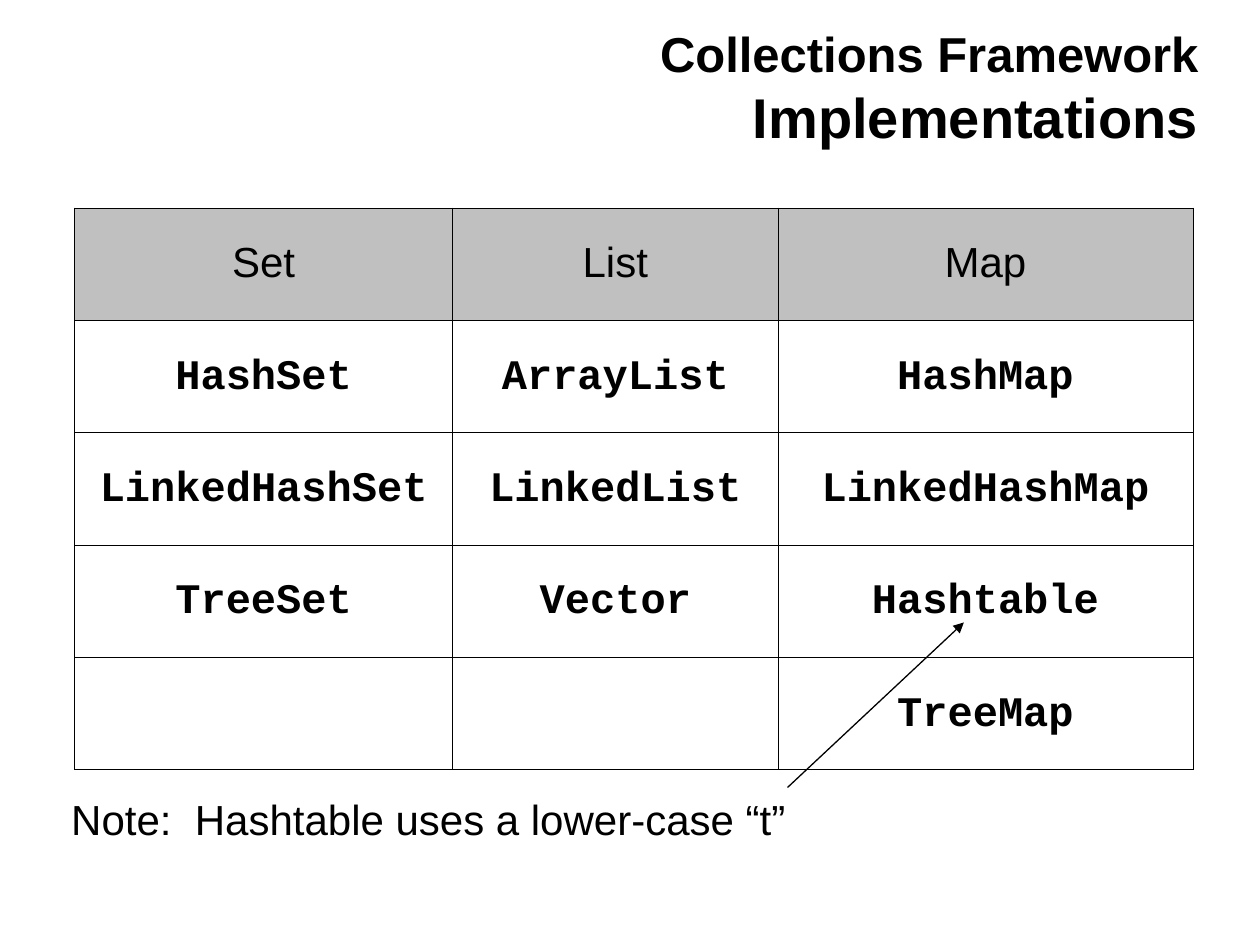
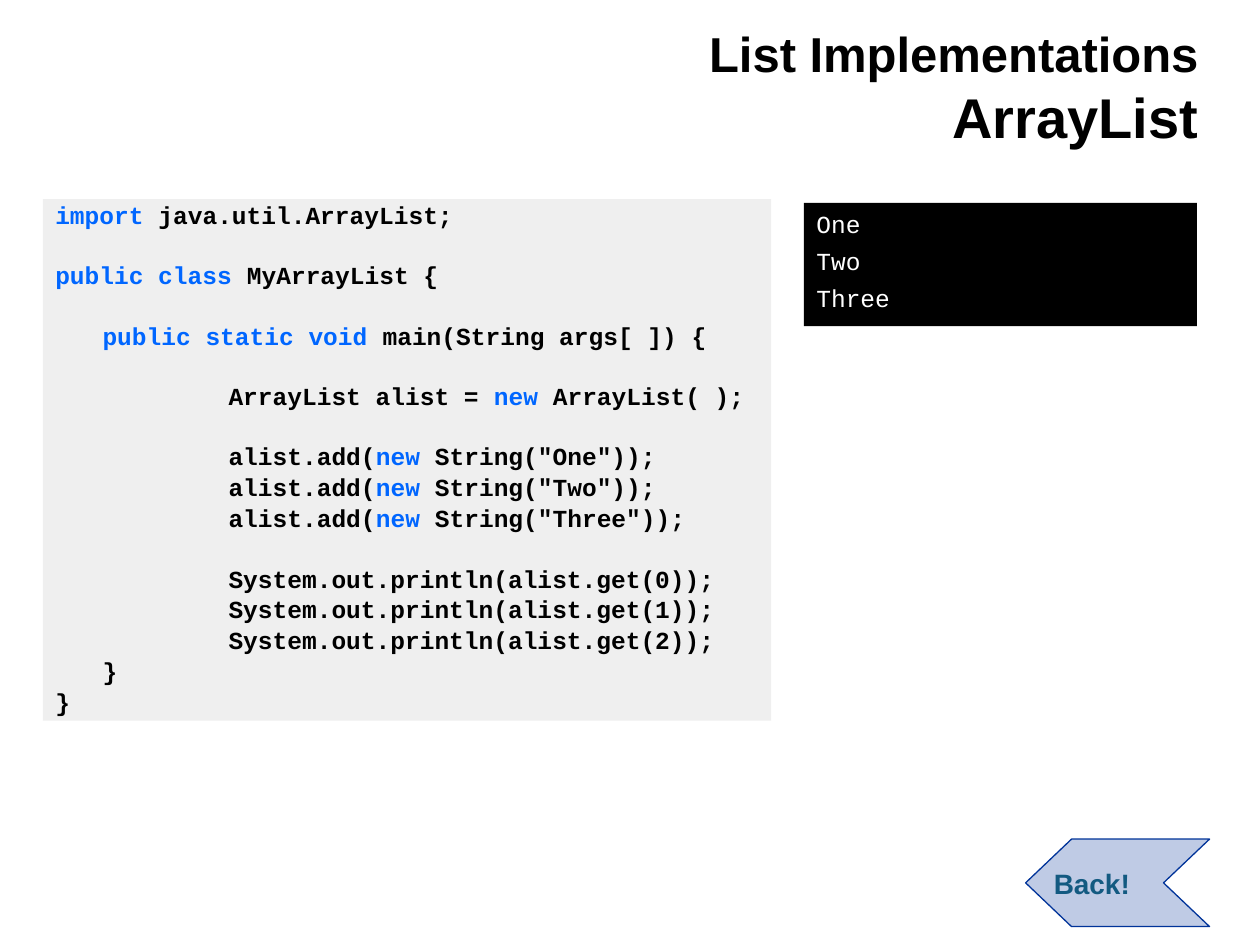
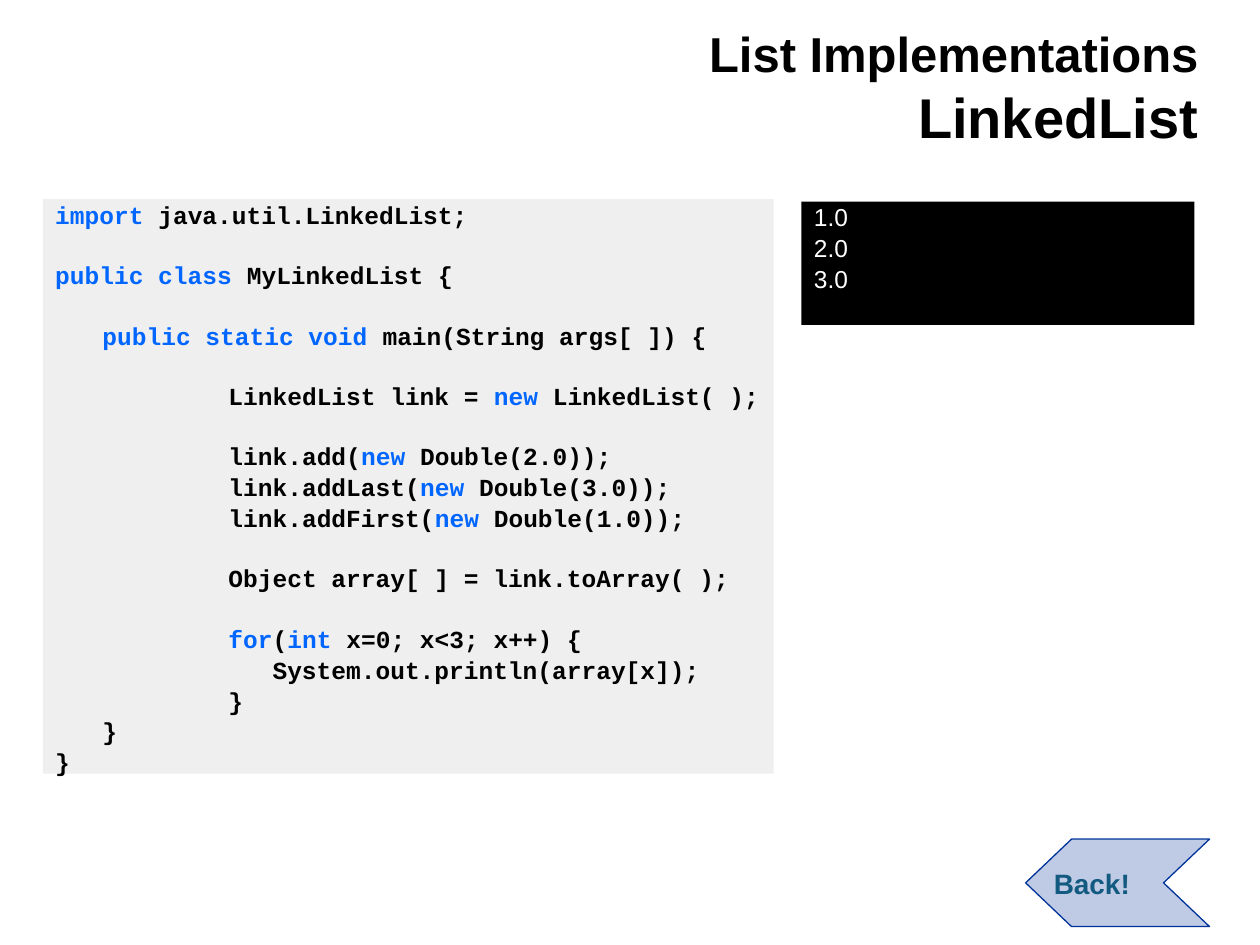
from lxml import etree
from pptx import Presentation
from pptx.dml.color import RGBColor
from pptx.enum.shapes import MSO_CONNECTOR, MSO_SHAPE
from pptx.enum.text import MSO_ANCHOR, PP_ALIGN
from pptx.oxml.ns import qn
from pptx.util import Pt

RECTANGLE = MSO_SHAPE.RECTANGLE
STRAIGHT = MSO_CONNECTOR.STRAIGHT
TOP, MIDDLE, BOTTOM = MSO_ANCHOR.TOP, MSO_ANCHOR.MIDDLE, MSO_ANCHOR.BOTTOM
LEFT, CENTER, RIGHT = PP_ALIGN.LEFT, PP_ALIGN.CENTER, PP_ALIGN.RIGHT

BLACK = RGBColor(0x00, 0x00, 0x00)
WHITE = RGBColor(0xFF, 0xFF, 0xFF)
GRAY = RGBColor(0xC0, 0xC0, 0xC0)
KEYWORD_BLUE = RGBColor(0x00, 0x66, 0xFF)
NAVY = RGBColor(0x00, 0x33, 0x99)
TEAL = RGBColor(0x13, 0x5A, 0x81)

SANS, MONO = "Arial", "Courier New"
TITLE_BOX = (50.4, 2.9, 641.5, 86.4)
TABLE_BOX = (42.6, 118.8, 639, 321)
NOTE_BOX = (28.8, 450, 432, 36)
BACK_BOX = (586.1, 479.5, 105.1, 50)
TINT = 25
CODE_SIZE = 14
CODE_INDENTS = (0, 27, 99, 124.2)
LINE_GAP = 4.2
BLANK_LINE = 16.9

COLUMN_WIDTHS = (216, 186, 237)
IMPLEMENTATIONS = (
    ("Set", "List", "Map"),
    ("HashSet", "ArrayList", "HashMap"),
    ("LinkedHashSet", "LinkedList", "LinkedHashMap"),
    ("TreeSet", "Vector", "Hashtable"),
    ("", "", "TreeMap"),
)

ARRAY_LIST_CODE = (
    ((0, "*import* java.util.ArrayList;"),),
    ((0, "*public class* MyArrayList {"),),
    ((1, "*public static void* main(String args[ ]) {"),),
    ((2, "ArrayList alist = *new* ArrayList( );"),),
    tuple((2, f'alist.add(*new* String("{word}"));') for word in ("One", "Two", "Three")),
    tuple((2, f"System.out.println(alist.get({index}));") for index in range(3))
    + ((1, "}"), (0, "}")),
)

LINKED_LIST_CODE = (
    ((0, "*import* java.util.LinkedList;"),),
    ((0, "*public class* MyLinkedList {"),),
    ((1, "*public static void* main(String args[ ]) {"),),
    ((2, "LinkedList link = *new* LinkedList( );"),),
    (
        (2, "link.add(*new* Double(2.0));"),
        (2, "link.addLast(*new* Double(3.0));"),
        (2, "link.addFirst(*new* Double(1.0));"),
    ),
    ((2, "Object array[ ] = link.toArray( );"),),
    (
        (2, "*for*(*int* x=0; x<3; x++) {"),
        (3, "System.out.println(array[x]);"),
        (2, "}"),
        (1, "}"),
        (0, "}"),
    ),
)


def points(values):
    return [Pt(value) for value in values]


def set_font(font, name, size, color, bold=False):
    font.name = name
    font.size = Pt(size)
    font.color.rgb = color
    font.bold = bold


def set_frame(frame, anchor):
    frame.word_wrap = True
    frame.vertical_anchor = anchor
    return frame


def tint_fill(shape, color):
    shape.fill.solid()
    shape.fill.fore_color.rgb = color
    color_element = shape.fill._xPr.find(qn("a:solidFill"))[0]
    etree.SubElement(color_element, qn("a:alpha"), val=str(TINT * 1000))


def add_title(slide, box, heading, subject):
    frame = set_frame(slide.shapes.add_textbox(*points(box)).text_frame, BOTTOM)
    paragraph = frame.paragraphs[0]
    paragraph.alignment = RIGHT
    set_font(paragraph.font, SANS, 28, BLACK, True)
    paragraph.add_run().text = heading
    paragraph.add_line_break()
    run = paragraph.add_run()
    run.text = subject
    run.font.size = Pt(32)


def add_panel(slide, box):
    shape = slide.shapes.add_shape(RECTANGLE, *points(box))
    shape.shadow.inherit = False
    shape.line.fill.background()
    set_frame(shape.text_frame, TOP)
    return shape


def next_paragraph(frame, is_first):
    paragraph = frame.paragraphs[0] if is_first else frame.add_paragraph()
    paragraph.alignment = LEFT
    paragraph.space_before = Pt(LINE_GAP)
    return paragraph


def add_code(slide, box, blocks):
    panel = add_panel(slide, box)
    tint_fill(panel, GRAY)
    for block_index, block in enumerate(blocks):
        for line_index, (level, text) in enumerate(block):
            is_first = block_index == line_index == 0
            paragraph = next_paragraph(panel.text_frame, is_first)
            paragraph.line_spacing = 0.8
            if block_index and line_index == 0:
                paragraph.space_before = Pt(LINE_GAP + BLANK_LINE)
            paragraph._p.get_or_add_pPr().set("marL", str(Pt(CODE_INDENTS[level])))
            set_font(paragraph.font, MONO, CODE_SIZE, BLACK, True)
            for part_index, part in enumerate(text.split("*")):
                if part:
                    run = paragraph.add_run()
                    run.text = part
                    if part_index % 2:
                        run.font.color.rgb = KEYWORD_BLUE


def add_console(slide, box, lines, font_name, line_spacing):
    panel = add_panel(slide, box)
    panel.fill.solid()
    panel.fill.fore_color.rgb = BLACK
    for index, line in enumerate(lines):
        paragraph = next_paragraph(panel.text_frame, index == 0)
        paragraph.line_spacing = line_spacing
        paragraph.text = line
        set_font(paragraph.font, font_name, CODE_SIZE, WHITE)


def add_back_arrow(slide, box):
    left, top, width, height = box
    right, middle, bottom = left + width, top + height / 2, top + height
    notch = width / 4
    builder = slide.shapes.build_freeform(Pt(right), Pt(bottom))
    outline = (
        (left + notch, bottom),
        (left, middle),
        (left + notch, top),
        (right, top),
        (right - notch, middle),
    )
    builder.add_line_segments([points(corner) for corner in outline], close=True)
    shape = builder.convert_to_shape()
    shape.shadow.inherit = False
    tint_fill(shape, NAVY)
    shape.line.color.rgb = NAVY
    shape.line.width = Pt(0.75)
    frame = set_frame(shape.text_frame, MIDDLE)
    frame.margin_left = Pt(16.1)
    paragraph = frame.paragraphs[0]
    paragraph.alignment = LEFT
    paragraph.text = "Back!"
    set_font(paragraph.font, SANS, 16, TEAL, True)


def set_borders(cell):
    properties = cell._tc.get_or_add_tcPr()
    for index, side in enumerate(("lnL", "lnR", "lnT", "lnB")):
        line = etree.Element(qn(f"a:{side}"), w=str(Pt(0.23)))
        fill = etree.SubElement(line, qn("a:solidFill"))
        etree.SubElement(fill, qn("a:srgbClr"), val=str(BLACK))
        properties.insert(index, line)


def add_implementations_table(slide, box):
    row_count = len(IMPLEMENTATIONS)
    frame = slide.shapes.add_table(row_count, len(COLUMN_WIDTHS), *points(box))
    table = frame.table
    table.first_row = table.horz_banding = False
    for column, width in zip(table.columns, COLUMN_WIDTHS):
        column.width = Pt(width)
    for row_index, names in enumerate(IMPLEMENTATIONS):
        is_header = row_index == 0
        table.rows[row_index].height = Pt(box[3] / row_count)
        for column_index, name in enumerate(names):
            cell = table.cell(row_index, column_index)
            cell.vertical_anchor = MIDDLE
            if is_header:
                cell.fill.solid()
                cell.fill.fore_color.rgb = GRAY
            else:
                cell.fill.background()
            set_borders(cell)
            paragraph = cell.text_frame.paragraphs[0]
            paragraph.text = name
            paragraph.alignment = CENTER
            paragraph.line_spacing = 0.93 if is_header else 0.89
            set_font(paragraph.font, SANS if is_header else MONO, 24, BLACK, not is_header)


def add_note(slide, box):
    left, top, width, height = box
    frame = set_frame(slide.shapes.add_textbox(*points(box)).text_frame, TOP)
    paragraph = frame.paragraphs[0]
    paragraph.text = "Note:  Hashtable uses a lower-case “t”"
    paragraph.alignment = CENTER
    set_font(paragraph.font, SANS, 24, BLACK)

    start_x = left + width - 10.8
    arrow = slide.shapes.add_connector(
        STRAIGHT, *points((start_x, top, start_x + 100.8, top - 94.3))
    )
    arrow.line.color.rgb = BLACK
    arrow.line.width = Pt(0.75)
    etree.SubElement(arrow.line._get_or_add_ln(), qn("a:tailEnd"), type="triangle")
    etree.SubElement(arrow._element.spPr, qn("a:effectLst"))


def add_slide(presentation, heading, subject):
    slide = presentation.slides.add_slide(presentation.slide_layouts[6])
    add_title(slide, TITLE_BOX, heading, subject)
    return slide


def add_list_slide(presentation, subject, code_box, code, console_box, *console):
    slide = add_slide(presentation, "List Implementations", subject)
    add_code(slide, code_box, code)
    add_back_arrow(slide, BACK_BOX)
    add_console(slide, console_box, *console)


def main():
    presentation = Presentation()
    presentation.slide_width = Pt(720)
    presentation.slide_height = Pt(540)

    overview = add_slide(presentation, "Collections Framework", "Implementations")
    add_implementations_table(overview, TABLE_BOX)
    add_note(overview, NOTE_BOX)

    add_list_slide(
        presentation, "ArrayList", (24.5, 113.8, 416.2, 298), ARRAY_LIST_CODE,
        (459.4, 115.9, 224.6, 70.5), ("One", "Two", "Three"), MONO, 1.0,
    )
    add_list_slide(
        presentation, "LinkedList", (24.5, 113.8, 417.6, 328.3), LINKED_LIST_CODE,
        (458, 115.2, 224.6, 70.5), ("1.0", "2.0", "3.0"), SANS, 0.8,
    )
    presentation.save("out.pptx")


if __name__ == "__main__":
    main()
